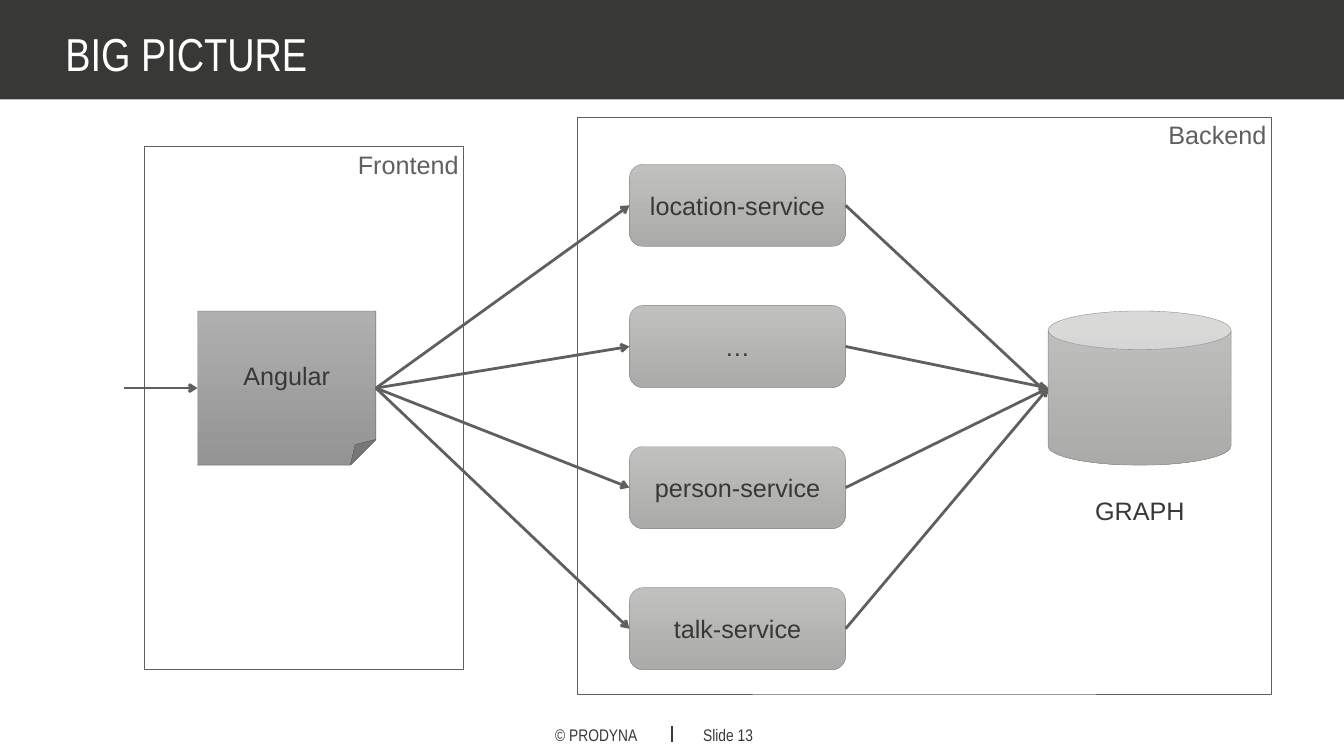
from lxml import etree
from pptx import Presentation
from pptx.dml.color import RGBColor
from pptx.enum.shapes import MSO_CONNECTOR, MSO_SHAPE
from pptx.enum.text import MSO_ANCHOR, PP_ALIGN
from pptx.oxml.ns import qn
from pptx.util import Inches, Pt

STRAIGHT = MSO_CONNECTOR.STRAIGHT
RECTANGLE, ROUNDED = MSO_SHAPE.RECTANGLE, MSO_SHAPE.ROUNDED_RECTANGLE
CAN, FOLDED = MSO_SHAPE.CAN, MSO_SHAPE.FOLDED_CORNER
TOP, MIDDLE = MSO_ANCHOR.TOP, MSO_ANCHOR.MIDDLE
LEFT, CENTER, RIGHT = PP_ALIGN.LEFT, PP_ALIGN.CENTER, PP_ALIGN.RIGHT

DARK, GRAY, WHITE = "383836", "5F605E", "FFFFFF"
LIGHT_GRADIENT, DEEP_GRADIENT = ("C0C0BF", "ABABAA"), ("AEAFAE", "939493")
SERVICES = ["location-service", "…", "person-service", "talk-service"]
DATABASE_ENTRIES = [7.82, 7.7, 7.7, 7.7]
FLOW_Y = 7.7


def color(value):
    return RGBColor.from_string(value)


def write(shape, text, size, font, text_color, align, anchor):
    frame = shape.text_frame
    frame.word_wrap = True
    frame.vertical_anchor = anchor
    paragraph = frame.paragraphs[0]
    paragraph.text = text
    paragraph.alignment = align
    paragraph.font.size = Pt(size)
    paragraph.font.name = font
    paragraph.font.color.rgb = color(text_color)
    return paragraph


def add_text(slide, box, text, size, font, text_color, align=LEFT):
    shape = slide.shapes.add_textbox(*map(Inches, box))
    return write(shape, text, size, font, text_color, align, TOP)


def add_box(slide, kind, box, line=None):
    shape = slide.shapes.add_shape(kind, *map(Inches, box))
    shape.shadow.inherit = False
    if line:
        shape.line.color.rgb = color(line)
        shape.line.width = Pt(0.5)
    else:
        shape.line.fill.background()
    return shape


def add_node(slide, kind, box, gradient, line, text=""):
    shape = add_box(slide, kind, box, line)
    shape.fill.gradient()
    shape.fill.gradient_angle = 270
    for stop, value in zip(shape.fill.gradient_stops, gradient):
        stop.color.rgb = color(value)
    if text:
        write(shape, text, 36, "Arial", DARK, CENTER, MIDDLE)


def add_line(slide, start, end, line_color, width, arrow=False):
    connector = slide.shapes.add_connector(STRAIGHT, *map(Inches, (*start, *end)))
    connector.line.color.rgb = color(line_color)
    connector.line.width = Pt(width)
    if arrow:
        etree.SubElement(connector.line._get_or_add_ln(), qn("a:tailEnd"), type="arrow")
    etree.SubElement(connector._element.spPr, qn("a:effectLst"))


def add_frame(slide, box, text):
    shape = add_box(slide, RECTANGLE, box, GRAY)
    shape.fill.background()
    write(shape, text, 36, "Arial", GRAY, RIGHT, TOP)


def add_header(slide, box):
    left, top, width, height = box
    band = add_box(slide, RECTANGLE, box)
    band.fill.solid()
    band.fill.fore_color.rgb = color(DARK)
    title = add_text(slide, (left + 1.2, top + 0.58, 21.96, 0.84), "BIG PICTURE", 66, "Arial Narrow", WHITE)
    title.line_spacing = 0.9


def add_footer(slide, box):
    left, top, width, height = box
    middle = left + width / 2
    add_text(slide, (middle - 5.04, top, 4.45, height), "© PRODYNA", 24, "Arial Narrow", DARK, RIGHT)
    add_text(slide, (middle + 0.52, top, 2.03, height), "Slide 13", 24, "Arial Narrow", DARK)
    add_line(slide, (middle, top + 0.08), (middle, top + 0.4), DARK, 3.75)


def add_frontend(slide, box):
    left, top, width, height = box
    node_left, node_width, node_height = left + 1.06, 3.54, 3.06
    node_box = (node_left, FLOW_Y - node_height / 2, node_width, node_height)
    add_node(slide, FOLDED, node_box, DEEP_GRADIENT, GRAY, "Angular")
    add_frame(slide, box, "Frontend")
    add_line(slide, (left - 0.4, FLOW_Y), (node_left, FLOW_Y), GRAY, 4, True)
    return node_left + node_width, FLOW_Y


def add_backend(slide, box, source):
    left, top, width, height = box
    service_left, service_width, service_height, pitch = left + 1.03, 4.29, 1.63, 2.8
    database_left, database_width, database_height = left + 9.34, 3.63, 3.06
    database_box = (database_left, FLOW_Y - database_height / 2, database_width, database_height)
    add_node(slide, CAN, database_box, LIGHT_GRADIENT, "868785")
    add_text(slide, (database_left + 0.62, top + 7.45, 2.4, 0.71), "GRAPH", 36, "Arial", DARK, CENTER)
    add_frame(slide, box, "Backend")
    for index, (service, entry) in enumerate(zip(SERVICES, DATABASE_ENTRIES)):
        service_top = top + 0.94 + index * pitch
        center = service_top + service_height / 2
        service_box = (service_left, service_top, service_width, service_height)
        add_node(slide, ROUNDED, service_box, LIGHT_GRADIENT, "868785", service)
        add_line(slide, source, (service_left, center), GRAY, 4, True)
        add_line(slide, (service_left + service_width, center), (database_left, entry), GRAY, 4, True)


def main():
    presentation = Presentation()
    presentation.slide_width = Inches(26.67)
    presentation.slide_height = Inches(15)
    slide = presentation.slides.add_slide(presentation.slide_layouts[6])
    add_header(slide, (0, 0, 26.67, 1.97))
    add_footer(slide, (0, 14.33, 26.67, 0.5))
    source = add_frontend(slide, (2.86, 2.91, 6.34, 10.36))
    add_backend(slide, (11.46, 2.32, 13.77, 11.45), source)
    presentation.save("out.pptx")


if __name__ == "__main__":
    main()
